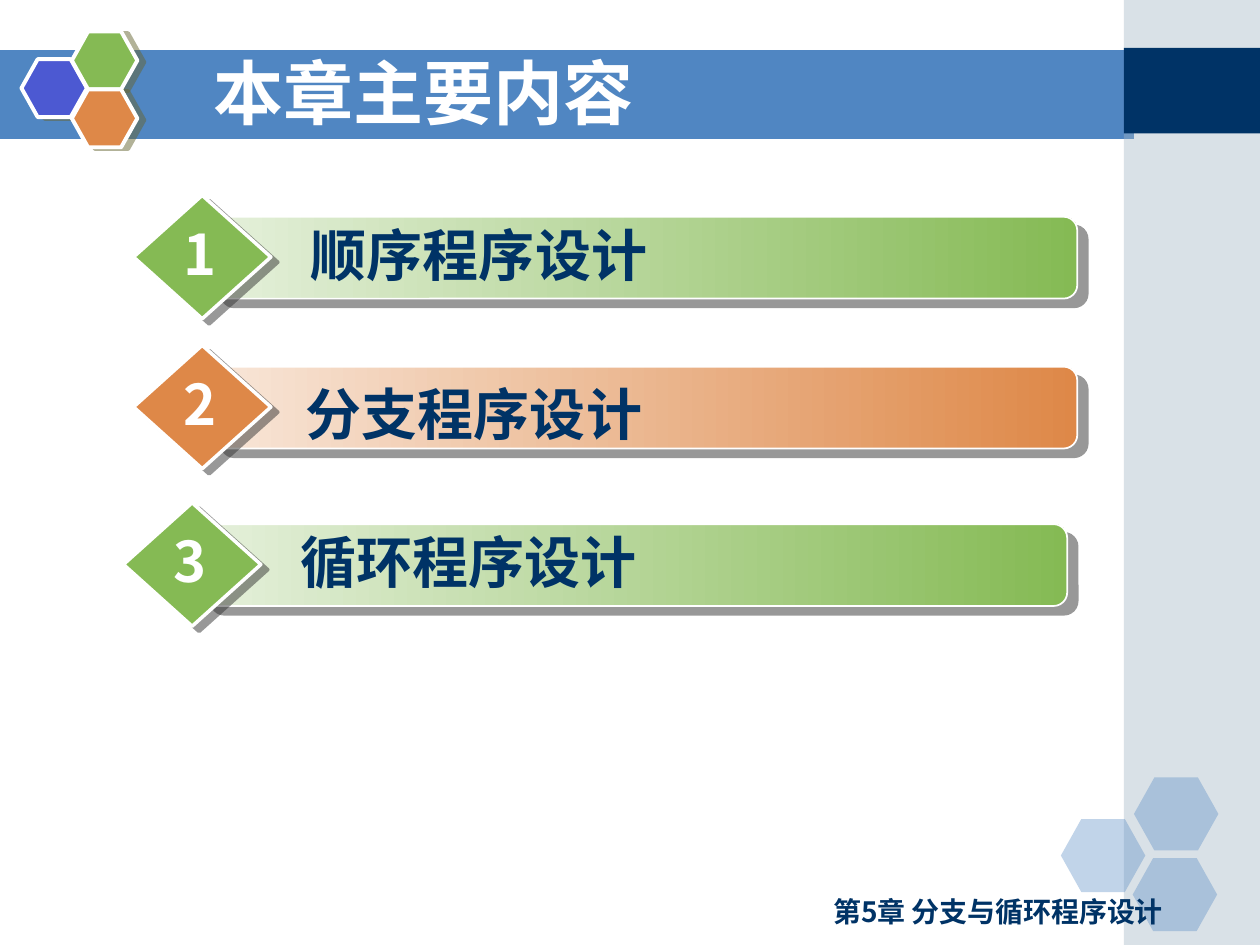
from lxml import etree
from pptx import Presentation
from pptx import util as u
from pptx.dml.color import RGBColor
from pptx.enum import shapes, text
from pptx.oxml.ns import qn

THEME = dict(
    font="Noto Sans CJK SC", head=40, item=32, foot=16,
    blue="5086C2", navy="003366", side="A0B5C4", white="FFFFFF",
    green="85BA54", mint="E5F0DB", rust="DE8848", peach="F8E6D8",
    violet="4C59D2", olive="666633", dark="333333",
)
FORM = shapes.MSO_SHAPE

deck = Presentation()
deck.slide_width, deck.slide_height = u.Inches(10), u.Inches(7.5)
slide = deck.slides.add_slide(deck.slide_layouts[6])
UNIT = deck.slide_width // 100  # grid of 100 columns by 75 rows


def style(shape, fill, alpha=None, fade=None, line=None, shade=None):
    """Fill, outline and shade a shape; shade is (colour, distance, angle)."""
    shape.shadow.inherit = False
    if fade:
        shape.fill.gradient()
        shape.fill.gradient_angle = 0
        for stop, name in zip(shape.fill.gradient_stops, (fade, fill)):
            stop.color.rgb = RGBColor.from_string(THEME[name])
    else:
        shape.fill.solid()
        shape.fill.fore_color.rgb = RGBColor.from_string(THEME[fill])
    props = shape._element.spPr
    if alpha:
        tint = props.find(qn("a:solidFill"))[0]
        etree.SubElement(tint, qn("a:alpha"), val=str(alpha * 1000))
    if line:
        shape.line.color.rgb = RGBColor.from_string(THEME["white"])
        shape.line.width = u.Pt(line)
    else:
        shape.line.fill.background()
    if shade:
        name, dist, angle = shade
        drop = etree.SubElement(
            props.find(qn("a:effectLst")), qn("a:outerShdw"), blurRad="0",
            dist=str(u.Pt(dist)), dir=str(angle * 60000), algn="ctr", rotWithShape="0")
        tint = etree.SubElement(drop, qn("a:srgbClr"), val=THEME[name])
        etree.SubElement(tint, qn("a:alpha"), val="50000")


def write(words, box, size, color, align="LEFT", anchor="TOP", wrap=True):
    frame = slide.shapes.add_textbox(*(int(n * UNIT) for n in box)).text_frame
    frame.word_wrap = wrap
    frame.vertical_anchor = getattr(text.MSO_ANCHOR, anchor)
    para = frame.paragraphs[0]
    para.alignment = getattr(text.PP_ALIGN, align)
    run = para.add_run()
    run.text = words
    for key, val in dict(name=THEME["font"], size=u.Pt(THEME[size]), bold=True).items():
        setattr(run.font, key, val)
    run.font.color.rgb = RGBColor.from_string(THEME[color])
    etree.SubElement(run._r.rPr, qn("a:ea"), typeface=THEME["font"])


# Title band, with its lower edge slightly aslant
band = slide.shapes.build_freeform(0, 3.8, scale=UNIT)
band.add_line_segments([(89.5, 3.8), (89.5, 10.6), (0, 10.7)], close=True)
style(band.convert_to_shape(), "blue")

# Side strip and the two hexagon clusters
plain = [
    (FORM.RECTANGLE, (89.2, 0, 10.8, 75), dict(fill="side", alpha=40)),
    (FORM.RECTANGLE, (89.2, 3.8, 10.8, 6.8), dict(fill="navy")),
]
for left, top in ((84.2, 65), (90, 61.7), (89.9, 68.1)):
    plain.append((FORM.HEXAGON, (left, top, 6.7, 5.8), dict(fill="blue", alpha=35)))
for left, top, fill in ((1.7, 4.7, "violet"), (5.7, 2.5, "green"), (5.7, 7.1, "rust")):
    plain.append((FORM.HEXAGON, (left, top, 5.2, 4.6),
                  dict(fill=fill, line=2.25, shade=("olive", 4.1, 14))))
for form, box, look in plain:
    shape = slide.shapes.add_shape(form, *(int(n * UNIT) for n in box))
    if form == FORM.HEXAGON:
        shape.adjustments[0] = 0.28
    style(shape, **look)

write("第5章 分支与循环程序设计", (57.9, 70.5, 35.4, 3.7), "foot", "navy", align="RIGHT")
write("本章主要内容", (16, 4.2, 73.3, 6.2), "head", "white", anchor="MIDDLE")

# Chapter items: left and top of the diamond, then the offset of the label
items = [
    ("顺序程序设计", 10.6, 15.5, (13.1, 1.5), "green", "mint"),
    ("分支程序设计", 10.6, 27.4, (12.7, 2.2), "rust", "peach"),
    ("循环程序设计", 9.8, 39.9, (13.1, 1.5), "green", "mint"),
]
for num, (words, left, top, (right, down), fill, fade) in enumerate(items, 1):
    bar = slide.shapes.add_shape(
        FORM.ROUNDED_RECTANGLE,
        *(int(n * UNIT) for n in (left + 6.1, top + 1.7, 68.8, 6.5)))
    style(bar, fill, fade=fade, line=1, shade=("dark", 7.8, 40))
    gem = slide.shapes.add_shape(
        FORM.DIAMOND, *(int(n * UNIT) for n in (left, top, 10.9, 9.8)))
    style(gem, fill, line=2, shade=("dark", 5, 37))
    write(words, (left + right, top + down, 54.3, 6.4), "item", "navy")
    write(str(num), (left + 3, top + 1.4, 4.5, 6.4), "item", "white",
          align="CENTER", wrap=False)

deck.save("out.pptx")
